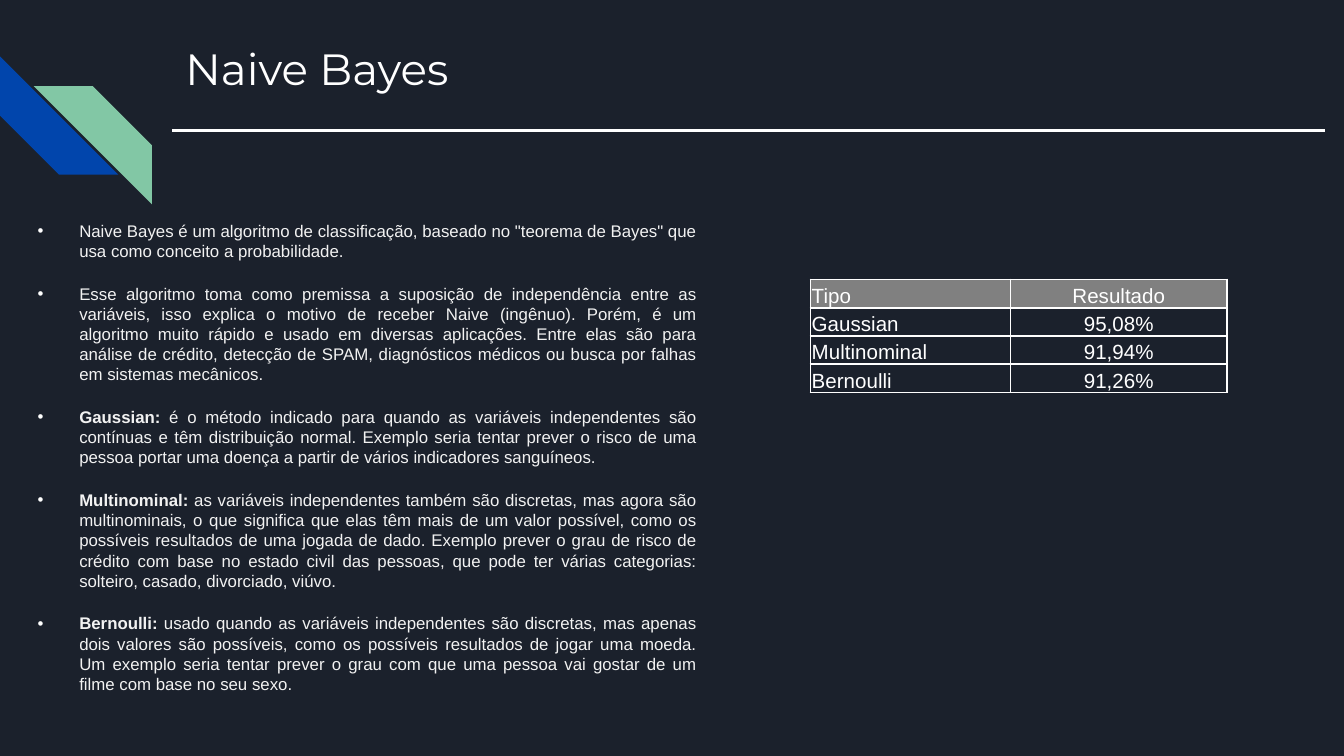
from dataclasses import dataclass

from lxml.etree import SubElement
from pptx import Presentation
from pptx.dml.color import RGBColor
from pptx.enum.shapes import MSO_CONNECTOR, MSO_SHAPE
from pptx.enum.text import MSO_ANCHOR, MSO_AUTO_SIZE, PP_ALIGN
from pptx.oxml import parse_xml
from pptx.oxml.ns import nsdecls, qn
from pptx.util import Inches, Pt

NAVY = RGBColor(0x1B, 0x21, 0x2C)
BLUE = RGBColor(0x01, 0x45, 0xAC)
GREEN = RGBColor(0x82, 0xC7, 0xA5)
WHITE = RGBColor(0xFF, 0xFF, 0xFF)
PALE = RGBColor(0xF2, 0xF2, 0xF2)
GRAY = RGBColor(0x80, 0x80, 0x80)


@dataclass
class Stripe:
    left: float
    top: float
    color: RGBColor
    turn: int = 0
    flip: bool = False


@dataclass
class Point:
    text: str
    lead: str = ""


STRIPES = [
    Stripe(0, 0.42, BLUE, turn=270),
    Stripe(0.25, 0.64, GREEN, flip=True),
]
POINTS = [
    Point('Naive Bayes é um algoritmo de classificação, baseado no "teorema de '
          'Bayes" que usa como conceito a probabilidade.'),
    Point("Esse algoritmo toma como premissa a suposição de independência entre "
          "as variáveis, isso explica o motivo de receber Naive (ingênuo). Porém, "
          "é um algoritmo muito rápido e usado em diversas aplicações. Entre elas "
          "são para análise de crédito, detecção de SPAM, diagnósticos médicos ou "
          "busca por falhas em sistemas mecânicos."),
    Point("é o método indicado para quando as variáveis independentes são "
          "contínuas e têm distribuição normal. Exemplo seria tentar prever o "
          "risco de uma pessoa portar uma doença a partir de vários indicadores "
          "sanguíneos.", "Gaussian: "),
    Point("as variáveis independentes também são discretas, mas agora são "
          "multinominais, o que significa que elas têm mais de um valor possível, "
          "como os possíveis resultados de uma jogada de dado. Exemplo prever o "
          "grau de risco de crédito com base no estado civil das pessoas, que pode "
          "ter várias categorias: solteiro, casado, divorciado, viúvo.",
          "Multinominal: "),
    Point("usado quando as variáveis independentes são discretas, mas apenas dois "
          "valores são possíveis, como os possíveis resultados de jogar uma moeda. "
          "Um exemplo seria tentar prever o grau com que uma pessoa vai gostar de "
          "um filme com base no seu sexo.", "Bernoulli: "),
]
ROWS = [
    ("Tipo", "Resultado"),
    ("Gaussian", "95,08%"),
    ("Multinominal", "91,94%"),
    ("Bernoulli ", "91,26%"),
]
WIDTHS = (1.49, 1.61)
ROW_H = 0.21


def write(para, text: str, *, size: float, color: RGBColor = WHITE,
          face: str = "Arial", bold: bool = False, align=PP_ALIGN.LEFT) -> None:
    para.alignment = align
    run = para.add_run()
    run.text = text
    font = run.font
    font.size, font.name, font.bold = Pt(size), face, bold
    font.color.rgb = color


def place(shape, left: float, top: float, width: float, height: float, anchor):
    """Move a placeholder and return its prepared text frame."""
    shape.left, shape.top = Inches(left), Inches(top)
    shape.width, shape.height = Inches(width), Inches(height)
    frame = shape.text_frame
    frame.auto_size = MSO_AUTO_SIZE.NONE
    frame.word_wrap = True
    frame.vertical_anchor = anchor
    frame.margin_left = frame.margin_right = Inches(0.1)
    frame.margin_top = frame.margin_bottom = Inches(0.1)
    return frame


def draw_stripe(slide, item: Stripe) -> None:
    shape = slide.shapes.add_shape(
        MSO_SHAPE.DIAGONAL_STRIPE, Inches(item.left), Inches(item.top),
        Inches(0.88), Inches(0.88))
    shape.shadow.inherit = False
    shape.fill.solid()
    shape.fill.fore_color.rgb = item.color
    shape.line.fill.background()
    shape.rotation = item.turn
    if item.flip:
        shape._element.spPr.xfrm.set("flipH", "1")


def draw_rule(slide) -> None:
    rule = slide.shapes.add_connector(
        MSO_CONNECTOR.STRAIGHT, Inches(1.28), Inches(0.97), Inches(9.86), Inches(0.97))
    rule.line.color.rgb = WHITE
    rule.line.width = Pt(1.5)
    SubElement(rule._element.spPr, qn("a:effectLst"))


def add_bullet(para) -> None:
    props = para._p.get_or_add_pPr()
    props.set("marL", str(Inches(0.31)))
    props.set("indent", str(-Inches(0.31)))
    color = SubElement(props, qn("a:buClr"))
    SubElement(color, qn("a:srgbClr"), val=str(WHITE))
    SubElement(props, qn("a:buFont"), typeface="Arial")
    SubElement(props, qn("a:buChar"), char="•")


def draw_points(frame, points: list[Point]) -> None:
    for i, point in enumerate(points):
        para = frame.paragraphs[0] if i == 0 else frame.add_paragraph()
        add_bullet(para)
        para.space_before, para.space_after = Pt(0), Pt(12)
        para.line_spacing = 1.0
        style = dict(size=9, color=PALE, align=PP_ALIGN.JUSTIFY)
        if point.lead:
            write(para, point.lead, bold=True, **style)
        write(para, point.text, **style)


def add_border(cell) -> None:
    props = cell._tc.get_or_add_tcPr()
    for i, side in enumerate(("lnL", "lnR", "lnT", "lnB")):
        props.insert(i, parse_xml(
            f'<a:{side} {nsdecls("a")} w="{Pt(1)}"><a:solidFill>'
            f'<a:srgbClr val="{WHITE}"/></a:solidFill></a:{side}>'))


def draw_table(slide, rows: list[tuple[str, str]]) -> None:
    table = slide.shapes.add_table(
        len(rows), len(WIDTHS), Inches(6.03), Inches(2.08),
        Inches(sum(WIDTHS)), Inches(ROW_H * len(rows))).table
    for col, width in zip(table.columns, WIDTHS):
        col.width = Inches(width)
    for r, row in enumerate(rows):
        table.rows[r].height = Inches(ROW_H)
        for c, text in enumerate(row):
            cell = table.cell(r, c)
            cell.vertical_anchor = MSO_ANCHOR.BOTTOM
            cell.margin_left = cell.margin_right = cell.margin_top = Inches(0.01)
            cell.margin_bottom = 0
            if r == 0:
                cell.fill.solid()
                cell.fill.fore_color.rgb = GRAY
            else:
                cell.fill.background()
            add_border(cell)
            write(cell.text_frame.paragraphs[0], text, size=11,
                  align=PP_ALIGN.CENTER if c else PP_ALIGN.LEFT)


def main() -> None:
    deck = Presentation()
    deck.slide_width = Inches(10)
    deck.slide_height = deck.slide_width * 9 // 16
    slide = deck.slides.add_slide(deck.slide_layouts[1])
    back = slide.background.fill
    back.solid()
    back.fore_color.rgb = NAVY

    for item in STRIPES:
        draw_stripe(slide, item)
    title = place(slide.shapes.title, 1.28, 0.24, 5.02, 0.58, MSO_ANCHOR.MIDDLE)
    write(title.paragraphs[0], "Naive Bayes", size=23.4, face="Montserrat")
    title.paragraphs[0].line_spacing = 0.9
    draw_rule(slide)
    body = place(slide.placeholders[1], 0.18, 1.54, 5.1, 3.85, MSO_ANCHOR.TOP)
    draw_points(body, POINTS)
    draw_table(slide, ROWS)
    deck.save("out.pptx")


if __name__ == "__main__":
    main()
